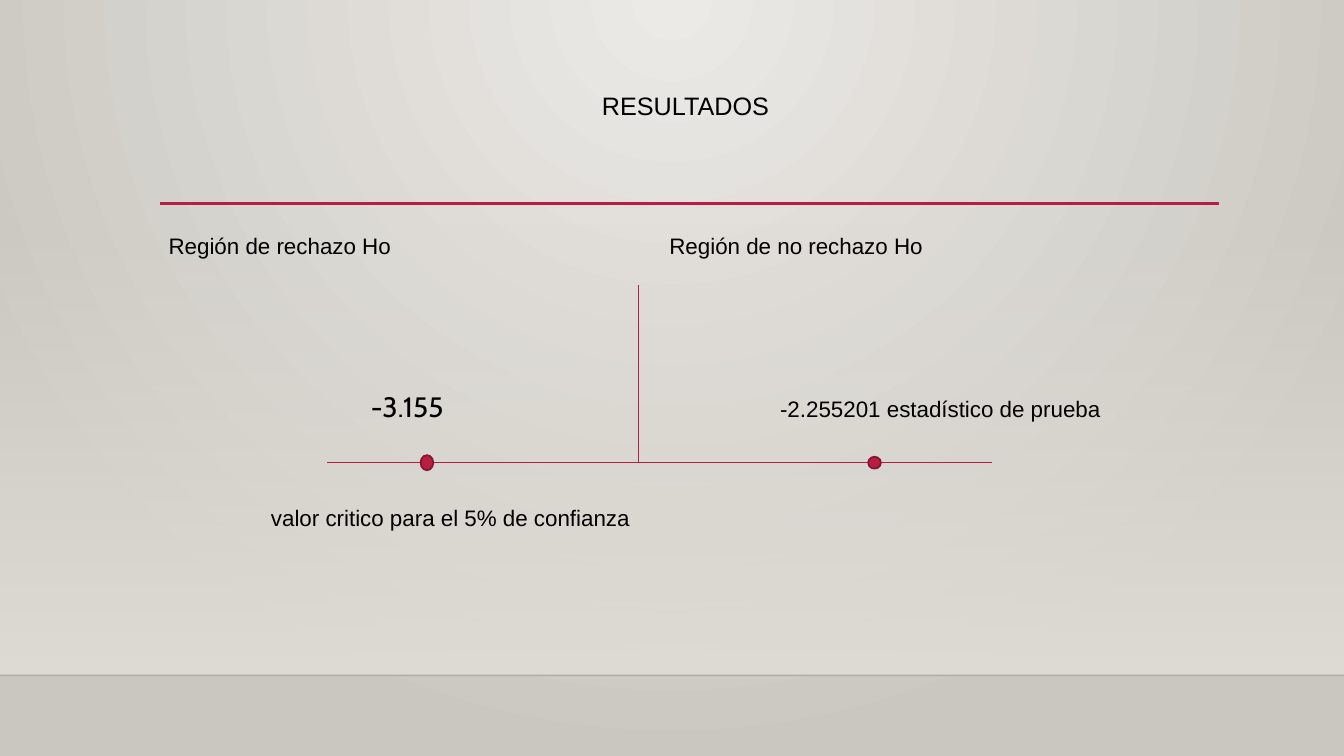
from dataclasses import dataclass

import pptx
import pptx.dml.color
import pptx.enum.shapes
import pptx.enum.text
import pptx.oxml
import pptx.oxml.ns
import pptx.util
from pptx.util import Cm

COLORS = {
    "text": "000000",
    "accent": "B71E42",
    "accent_dark": "871631",
    "center": "ECEAE7",
    "edge": "CAC7C1",
    "wall": "DFDBD5",
    "floor_line": "000001",
}
WIDTH, HEIGHT = 33.87, 19.05
FLOOR_Y = 17.02
AXIS_Y = 11.66
LABEL_HEIGHT = 1.0


# Lengths are centimetres; font sizes and line weights are points
@dataclass
class Label:
    text: str
    left: float
    center_y: float
    width: float
    size: int = 16
    font: str = "Arial"
    centered: bool = False


@dataclass
class Line:
    start: tuple[float, float]
    end: tuple[float, float]
    weight: float = 0.75
    color: str = "accent"
    opacity: int = 100


@dataclass
class Dot:
    center_x: float
    width: float
    height: float


LABELS = [
    Label("RESULTADOS", 3.94, 2.67, 26.67, size=18, centered=True),
    Label("Región de rechazo Ho", 4.25, 6.2, 10),
    Label("Región de no rechazo Ho", 16.87, 6.2, 10),
    Label("-3.155", 9.35, 10.25, 4, size=20, font="Cabin"),
    Label("-2.255201 estadístico de prueba", 19.66, 10.3, 11),
    Label("valor critico para el 5% de confianza", 6.83, 13.04, 12),
]
FLOOR_LINE = Line((0, FLOOR_Y), (WIDTH, FLOOR_Y), 1, "floor_line", 20)
LINES = [
    Line((4.04, 5.13), (30.73, 5.13), 2.5),
    Line((8.25, AXIS_Y), (25, AXIS_Y)),
    Line((16.08, 7.19), (16.08, AXIS_Y)),
]
DOTS = [Dot(10.76, 0.32, 0.38), Dot(22.04, 0.32, 0.3)]


def rgb(name: str) -> pptx.dml.color.RGBColor:
    return pptx.dml.color.RGBColor.from_string(COLORS[name])


def set_values(target: object, values: dict) -> None:
    for name, value in values.items():
        setattr(target, name, value)


def set_gradient(element, stops: list[tuple[int, str, int]], direction: str) -> None:
    """Replace a gradient with stops of (position, color, opacity), in percent."""
    gradient = element.xpath(".//a:gradFill")[0]
    stop_xml = "".join(
        f'<a:gs pos="{position * 1000}"><a:srgbClr val="{COLORS[color]}">'
        f'<a:alpha val="{opacity * 1000}"/></a:srgbClr></a:gs>'
        for position, color, opacity in stops
    )
    replacement = pptx.oxml.parse_xml(
        f'<a:gradFill {pptx.oxml.ns.nsdecls("a")} rotWithShape="1">'
        f"<a:gsLst>{stop_xml}</a:gsLst>{direction}</a:gradFill>"
    )
    gradient.getparent().replace(gradient, replacement)


def add_backdrop(slide) -> None:
    slide.background.fill.gradient()
    set_gradient(
        slide.element,
        [(0, "center", 100), (100, "edge", 100)],
        '<a:path path="circle"><a:fillToRect l="43000" r="43000" b="100000"/></a:path>',
    )
    wall = slide.shapes.add_shape(
        pptx.enum.shapes.MSO_SHAPE.RECTANGLE, 0, Cm(5.61), Cm(WIDTH), Cm(FLOOR_Y - 5.61)
    )
    wall.shadow.inherit = False
    wall.line.fill.background()
    wall.fill.gradient()
    set_gradient(
        wall.element, [(0, "wall", 0), (100, "wall", 100)], '<a:lin ang="5400000" scaled="0"/>'
    )


def add_line(slide, line: Line) -> None:
    connector = slide.shapes.add_connector(
        pptx.enum.shapes.MSO_CONNECTOR.STRAIGHT, *map(Cm, line.start + line.end)
    )
    connector.line.width = pptx.util.Pt(line.weight)
    connector.line.color.rgb = rgb(line.color)
    namespace = pptx.oxml.ns.nsdecls("a")
    if line.opacity < 100:
        color = connector.element.xpath(".//a:ln//a:srgbClr")[0]
        color.append(pptx.oxml.parse_xml(f'<a:alpha {namespace} val="{line.opacity * 1000}"/>'))
    properties = connector.element.xpath("./p:spPr")[0]
    properties.append(pptx.oxml.parse_xml(f"<a:effectLst {namespace}/>"))


def add_dot(slide, dot: Dot) -> None:
    shape = slide.shapes.add_shape(
        pptx.enum.shapes.MSO_SHAPE.OVAL,
        Cm(dot.center_x - dot.width / 2),
        Cm(AXIS_Y - dot.height / 2),
        Cm(dot.width),
        Cm(dot.height),
    )
    shape.shadow.inherit = False
    shape.fill.solid()
    shape.fill.fore_color.rgb = rgb("accent")
    shape.line.color.rgb = rgb("accent_dark")
    shape.line.width = pptx.util.Pt(1.25)


def add_label(slide, label: Label) -> None:
    box = slide.shapes.add_textbox(
        Cm(label.left), Cm(label.center_y - LABEL_HEIGHT / 2), Cm(label.width), Cm(LABEL_HEIGHT)
    )
    frame_format = {
        "word_wrap": True,
        "vertical_anchor": pptx.enum.text.MSO_ANCHOR.MIDDLE,
        **{f"margin_{side}": 0 for side in ("left", "top", "right", "bottom")},
    }
    set_values(box.text_frame, frame_format)
    paragraph = box.text_frame.paragraphs[0]
    alignment = pptx.enum.text.PP_ALIGN
    paragraph.alignment = alignment.CENTER if label.centered else alignment.LEFT
    run = paragraph.add_run()
    run.text = label.text
    set_values(run.font, {"name": label.font, "size": pptx.util.Pt(label.size)})
    run.font.color.rgb = rgb("text")


def main() -> None:
    presentation = pptx.Presentation()
    set_values(presentation, {"slide_width": Cm(WIDTH), "slide_height": Cm(HEIGHT)})
    slide = presentation.slides.add_slide(presentation.slide_layouts[6])

    # Wall and floor
    add_backdrop(slide)
    add_line(slide, FLOOR_LINE)

    # Title and region labels
    for label in LABELS:
        add_label(slide, label)

    # Title rule, number line and marked values
    for line in LINES:
        add_line(slide, line)
    for dot in DOTS:
        add_dot(slide, dot)

    presentation.save("out.pptx")


if __name__ == "__main__":
    main()
